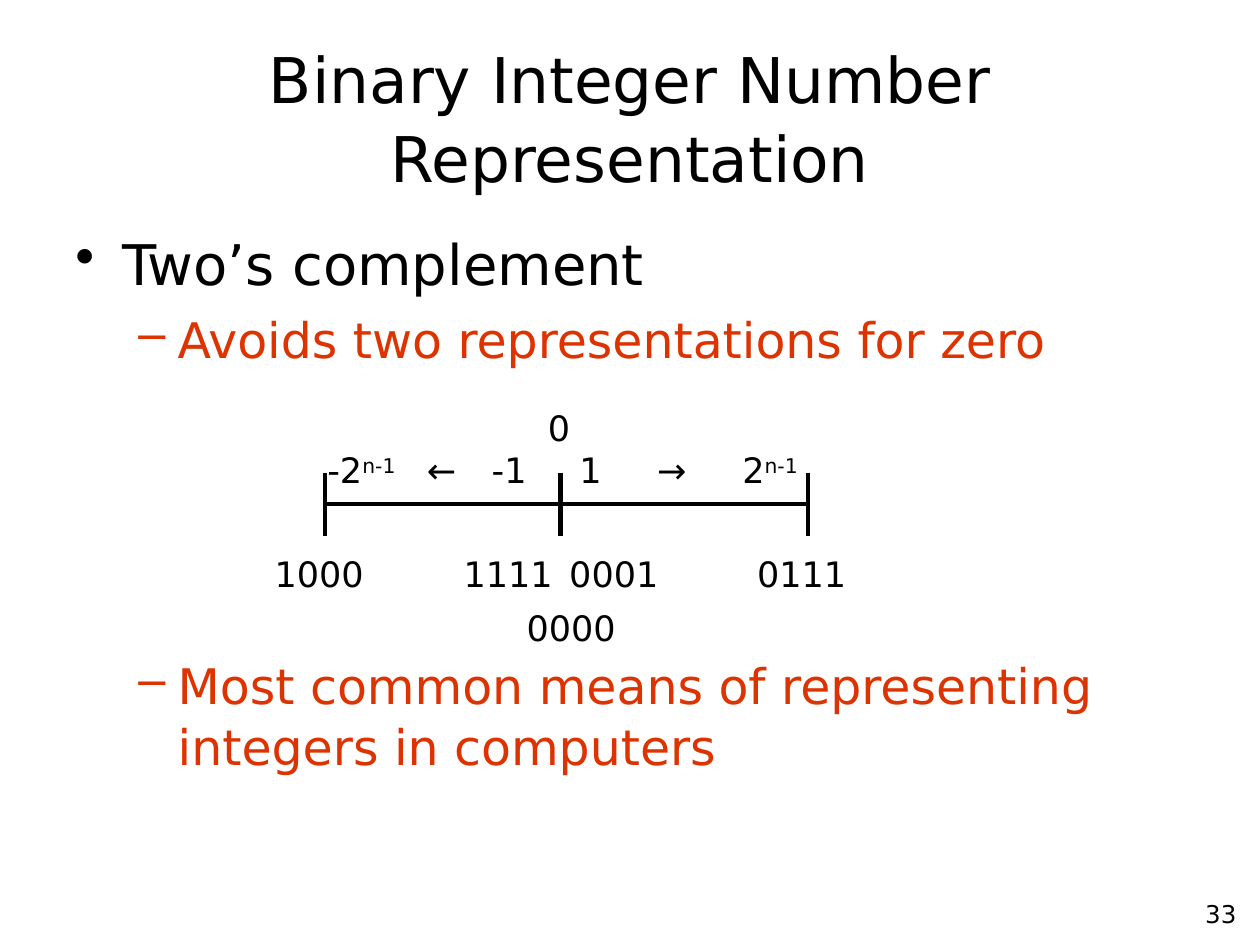
import dataclasses

import pptx
import pptx.dml.color
import pptx.enum.shapes
import pptx.enum.text
import pptx.oxml
import pptx.oxml.ns
import pptx.util

Pt = pptx.util.Pt
ALIGN = pptx.enum.text.PP_ALIGN
ANCHOR = pptx.enum.text.MSO_ANCHOR


@dataclasses.dataclass(frozen=True)
class Theme:
    font: str = "DejaVu Sans"
    ink: str = "000000"
    accent: str = "DD3300"
    title: int = 36
    bullet: int = 32
    sub_bullet: int = 28
    label: int = 20
    number: int = 14
    leading: float = 1.04
    axis_width: float = 2.5


THEME = Theme()


def style(p, size, color=THEME.ink, align=ALIGN.LEFT):
    p.alignment = align
    p.line_spacing = THEME.leading
    for r in p.runs:
        r.font.name = THEME.font
        r.font.size = Pt(size)
        r.font.color.rgb = pptx.dml.color.RGBColor.from_string(color)


def add_box(slide, x, y, w, h):
    tf = slide.shapes.add_textbox(Pt(x), Pt(y), Pt(w), Pt(h)).text_frame
    tf.word_wrap = True
    return tf


def add_label(slide, x, y, w, text, exponent=""):
    p = add_box(slide, x, y, w, 31.7).paragraphs[0]
    p.text = text
    if exponent:
        r = p.add_run()
        r.text = exponent
        r.font._element.set("baseline", "30000")
    style(p, THEME.label)


def set_bullet(p, char, left, hang):
    pPr = p._p.get_or_add_pPr()
    pPr.set("marL", str(Pt(left)))
    pPr.set("indent", str(Pt(-hang)))
    bullet = pptx.oxml.parse_xml(
        f'<a:buChar {pptx.oxml.ns.nsdecls("a")} char="{char}"/>')
    pPr.append(bullet)


def add_title(slide, x, y, w, h):
    sp = slide.shapes.title
    sp.left, sp.top, sp.width, sp.height = Pt(x), Pt(y), Pt(w), Pt(h)
    tf = sp.text_frame
    tf.text = "Binary Integer Number Representation"
    tf.vertical_anchor = ANCHOR.MIDDLE
    tf.auto_size = pptx.enum.text.MSO_AUTO_SIZE.NONE
    style(tf.paragraphs[0], THEME.title, align=ALIGN.CENTER)


def add_body(slide, x, y, w, h):
    """Bullets, with room for the number line before the last one."""
    tf = add_box(slide, x, y, w, h)
    sub = (1, "–", 58.5, 22.5, THEME.sub_bullet, THEME.accent)
    items = [
        ("Two’s complement", 0, (0, "•", 27, 27, THEME.bullet, THEME.ink)),
        ("Avoids two representations for zero", 6, sub),
        ("Most common means of representing integers in computers", 163, sub),
    ]
    for i, (text, before, look) in enumerate(items):
        level, char, left, hang, size, color = look
        p = tf.add_paragraph() if i else tf.paragraphs[0]
        p.text = text
        p.level = level
        if before:
            p.space_before = Pt(before)
        style(p, size, color)
        set_bullet(p, char, left, hang)


def add_line(slide, x1, y1, x2, y2):
    line = slide.shapes.add_connector(
        pptx.enum.shapes.MSO_CONNECTOR.STRAIGHT, Pt(x1), Pt(y1), Pt(x2), Pt(y2))
    line.line.color.rgb = pptx.dml.color.RGBColor.from_string(THEME.ink)
    line.line.width = Pt(THEME.axis_width)
    line._element.spPr.append(pptx.oxml.parse_xml(
        f'<a:effectLst {pptx.oxml.ns.nsdecls("a")}/>'))


def add_number_line(slide, x, y, w):
    """Axis from (x, y), with values above and bit patterns below."""
    add_line(slide, x, y, x + w, y)
    for tick in (0, 134.6, w):
        add_line(slide, x + tick, y - 18, x + tick, y + 18)

    add_label(slide, x + 120.2, y - 60, 28, "0")
    values = [(-5.8, "-2", "n-1"), (51, "←", ""), (88.1, "-1", ""),
              (138.2, "1", ""), (182.7, "→", ""), (231.3, "2", "n-1")]
    for dx, text, exponent in values:
        add_label(slide, x + dx, y - 36, 56, text, exponent)

    patterns = [(-36, "1000"), (72, "1111"), (132.4, "0001"), (239.7, "0111")]
    for dx, text in patterns:
        add_label(slide, x + dx, y + 23, 66.2, text)
    add_label(slide, x + 108, y + 54, 66.2, "0000")


def add_slide_number(slide, x, y, w, h):
    tf = add_box(slide, x, y, w, h)
    tf.text = "33"
    style(tf.paragraphs[0], THEME.number, align=ALIGN.RIGHT)


def main():
    prs = pptx.Presentation()
    prs.slide_width, prs.slide_height = Pt(720), Pt(540)
    slide = prs.slides.add_slide(prs.slide_layouts[5])
    add_title(slide, 36, 21.6, 648, 90)
    add_body(slide, 36, 126, 648, 390)
    add_number_line(slide, 185.8, 288, 275.8)
    add_slide_number(slide, 563.8, 509.8, 149.8, 26.6)
    prs.save("out.pptx")


if __name__ == "__main__":
    main()
